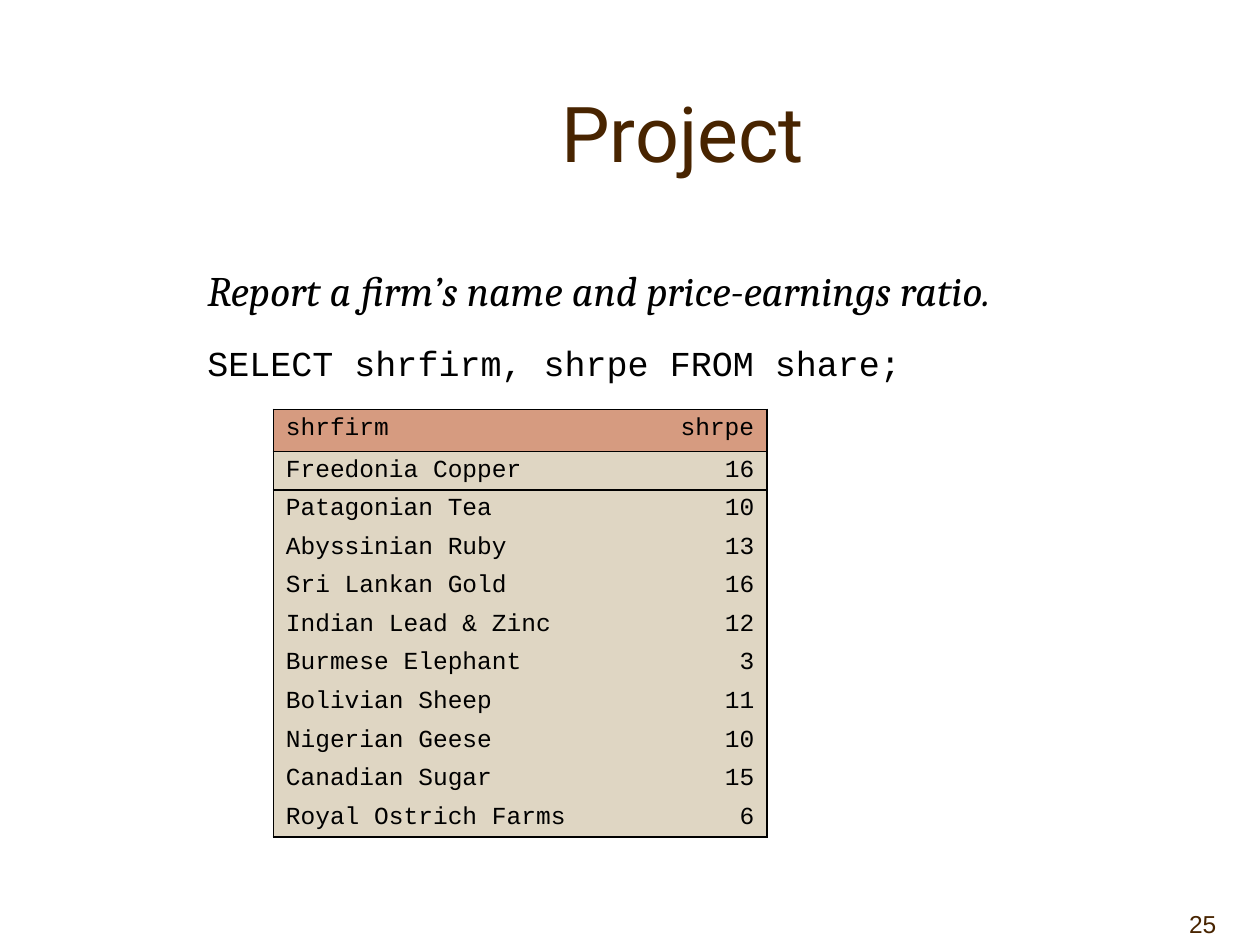
from lxml import etree
from pptx import Presentation
from pptx.dml.color import RGBColor
from pptx.enum.text import MSO_ANCHOR, PP_ALIGN
from pptx.oxml.ns import qn
from pptx.util import Cm, Pt

LEFT, CENTER, RIGHT = PP_ALIGN.LEFT, PP_ALIGN.CENTER, PP_ALIGN.RIGHT
TOP, MIDDLE, BOTTOM = MSO_ANCHOR.TOP, MSO_ANCHOR.MIDDLE, MSO_ANCHOR.BOTTOM

BROWN = RGBColor(0x48, 0x24, 0x00)
BLACK = RGBColor(0x00, 0x00, 0x00)
HEADER_FILL = RGBColor(0xD6, 0x9B, 0x80)
BODY_FILL = RGBColor(0xDF, 0xD6, 0xC3)

NO_STYLE = "{2D5ABB26-0587-4C30-8999-92F81FD0307C}"
CODE_FONT = "Courier New"

SHARES = [
    ("shrfirm", "shrpe"),
    ("Freedonia Copper", "16"),
    ("Patagonian Tea", "10"),
    ("Abyssinian Ruby", "13"),
    ("Sri Lankan Gold", "16"),
    ("Indian Lead & Zinc", "12"),
    ("Burmese Elephant", "3"),
    ("Bolivian Sheep", "11"),
    ("Nigerian Geese", "10"),
    ("Canadian Sugar", "15"),
    ("Royal Ostrich Farms", "6"),
]


def write(paragraph, text, font=CODE_FONT, size=14, color=BLACK, italic=False,
          align=LEFT, before=None, spacing=None):
    paragraph.alignment = align
    if before is not None:
        paragraph.space_before = Pt(before)
    if spacing is not None:
        paragraph.line_spacing = spacing
    run = paragraph.add_run()
    run.text = text
    run.font.name = font
    run.font.size = Pt(size)
    run.font.italic = italic
    run.font.color.rgb = color


def add_frame(slide, left, top, width, height, anchor=TOP):
    box = slide.shapes.add_textbox(Cm(left), Cm(top), Cm(width), Cm(height))
    frame = box.text_frame
    frame.word_wrap = True
    frame.vertical_anchor = anchor
    return frame


def add_borders(cell, sides):
    """Draw thin black lines on the sides, named in the order L, R, T, B."""
    properties = cell._tc.get_or_add_tcPr()
    for side in sides:
        line = etree.SubElement(properties, qn(f"a:ln{side}"), w=str(Pt(1)))
        fill = etree.SubElement(line, qn("a:solidFill"))
        etree.SubElement(fill, qn("a:srgbClr"), val=str(BLACK))


def add_share_table(slide, rows):
    last = len(rows) - 1
    graphic = slide.shapes.add_table(len(rows), 2, Cm(5.51), Cm(8.25),
                                     Cm(9.95), Cm(8.55))
    table = graphic.table
    table.first_row = table.horz_banding = False
    graphic._element.find(f".//{qn('a:tableStyleId')}").text = NO_STYLE
    table.columns[0].width, table.columns[1].width = Cm(7.4), Cm(2.55)

    for r, values in enumerate(rows):
        table.rows[r].height = Cm(0.85 if r == 0 else 0.77)
        for c, value in enumerate(values):
            cell = table.cell(r, c)
            sides = "LR"[c]
            if r <= 1:
                sides += "T"
            if r in (0, last):
                sides += "B"
            add_borders(cell, sides)
            cell.fill.solid()
            cell.fill.fore_color.rgb = HEADER_FILL if r == 0 else BODY_FILL
            write(cell.text_frame.paragraphs[0], value,
                  align=RIGHT if c else LEFT, spacing=0.88)


def main():
    deck = Presentation()
    deck.slide_width, deck.slide_height = Cm(25.4), Cm(19.05)
    slide = deck.slides.add_slide(deck.slide_layouts[6])

    # Page number
    page_number = add_frame(slide, 21.59, 17.78, 3.18, 1.27, BOTTOM)
    write(page_number.paragraphs[0], "25", font="Arial", color=BROWN,
          align=RIGHT)

    # Title
    title = add_frame(slide, 2.97, 1.07, 21.59, 3.18, MIDDLE)
    write(title.paragraphs[0], "Project", font="Roboto", size=44, color=BROWN,
          align=CENTER)

    # Question and its query
    query = add_frame(slide, 2.95, 4.9, 21.59, 11.43)
    query.margin_left, query.margin_top = Cm(1.23), Cm(0.43)
    write(query.paragraphs[0], "Report a firm’s name and price-earnings ratio.",
          font="Cambria", size=24, italic=True)
    write(query.add_paragraph(), "SELECT shrfirm, shrpe FROM share;",
          size=20, before=15)

    # Query result
    add_share_table(slide, SHARES)

    deck.save("out.pptx")


if __name__ == "__main__":
    main()
